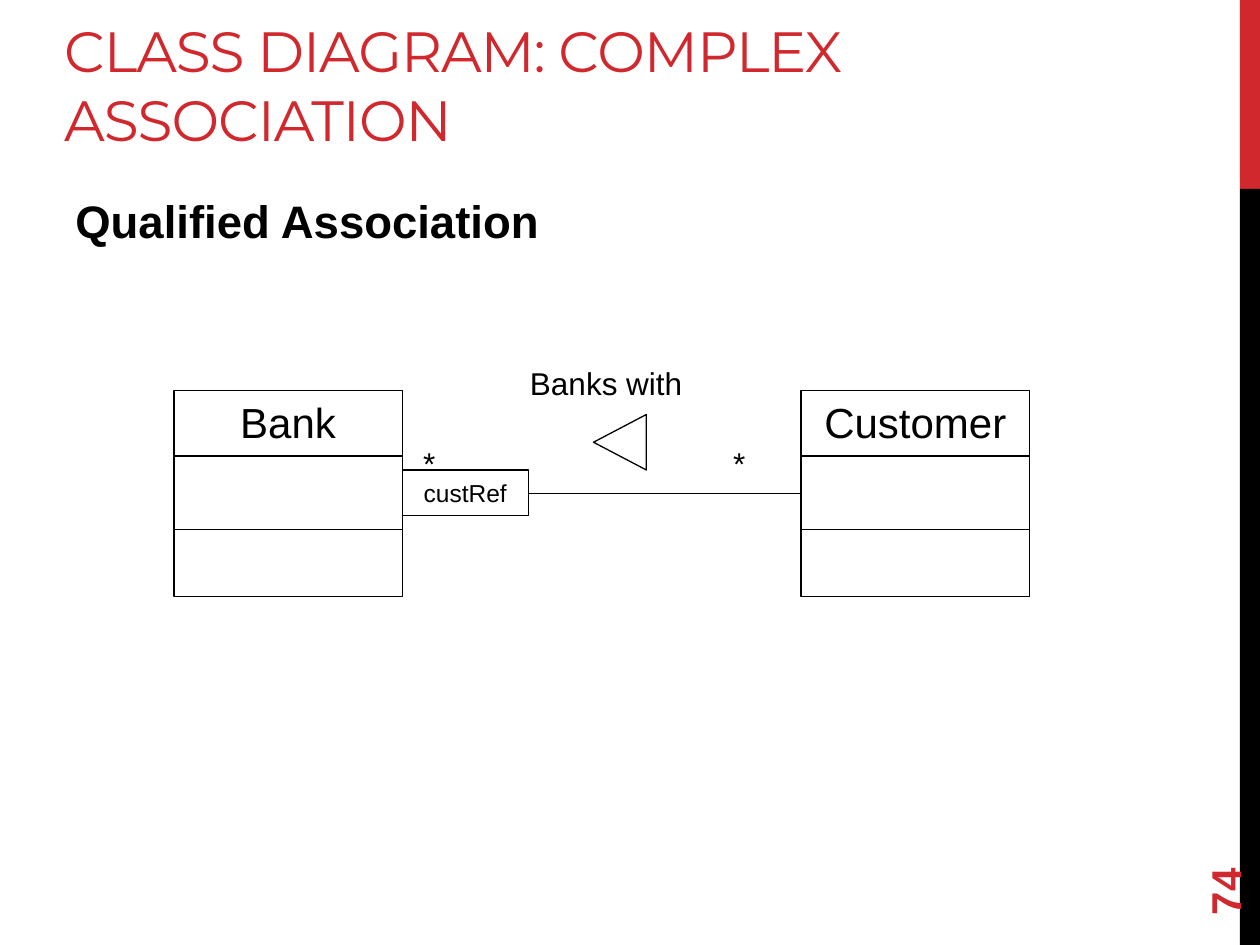
import pptx
import pptx.dml.color
import pptx.enum.shapes
import pptx.enum.text
import pptx.oxml.ns
import pptx.util
from lxml import etree

Pt = pptx.util.Pt
SHAPES = pptx.enum.shapes.MSO_SHAPE
ANCHOR = pptx.enum.text.MSO_ANCHOR
ALIGN = pptx.enum.text.PP_ALIGN
COLOURS = {"red": "D1282E", "black": "000000", "white": "FFFFFF"}

CLASS_TOP, CLASS_WIDTH, CLASS_HEIGHT = 223, 130.5, 118
ATTRIBUTES_TOP, ATTRIBUTES_HEIGHT = 260.6, 42
BANK_LEFT, CUSTOMER_LEFT = 99.4, 457.8


def colour(name):
    return pptx.dml.color.RGBColor.from_string(COLOURS[name])


def write(box, text, size, ink="black", bold=False, font="Arial",
          anchor=ANCHOR.TOP, align=ALIGN.LEFT):
    frame = box.text_frame
    frame.word_wrap = True
    frame.auto_size = pptx.enum.text.MSO_AUTO_SIZE.NONE
    frame.vertical_anchor = anchor
    para = frame.paragraphs[0]
    para.alignment = align
    span = para.add_run()
    span.text = text
    span.font.name = font
    span.font.size = Pt(size)
    span.font.bold = bold
    span.font.color.rgb = colour(ink)
    return para


def add_title(page, text):
    title = page.shapes.title
    title.left, title.top, title.width, title.height = Pt(29.5), Pt(0.7), Pt(648), Pt(90)
    para = write(title, text, 32.4, "red", font="Montserrat", anchor=ANCHOR.BOTTOM)
    para.line_spacing = 1.0
    para.runs[0].font._element.set("spc", "-60")


def add_label(page, text, left, top, width, height, size, **style):
    box = page.shapes.add_textbox(Pt(left), Pt(top), Pt(width), Pt(height))
    return box, write(box, text, size, **style)


def add_figure(parent, kind, left, top, width, height, fill="white", line="black"):
    figure = parent.shapes.add_shape(kind, Pt(left), Pt(top), Pt(width), Pt(height))
    figure.shadow.inherit = False
    figure.fill.solid()
    figure.fill.fore_color.rgb = colour(fill)
    if line:
        figure.line.color.rgb = colour(line)
        figure.line.width = Pt(0.75)
    else:
        figure.line.fill.background()
    return figure


def add_class(page, name, left):
    """Draw a class box with three compartments; return the middle one."""
    group = page.shapes.add_group_shape()
    outline = add_figure(group, SHAPES.RECTANGLE, left, CLASS_TOP, CLASS_WIDTH, CLASS_HEIGHT)
    write(outline, name, 24, align=ALIGN.CENTER)
    return add_figure(group, SHAPES.RECTANGLE, left, ATTRIBUTES_TOP,
                      CLASS_WIDTH, ATTRIBUTES_HEIGHT)


def add_association(page, source, target):
    line = page.shapes.add_connector(
        pptx.enum.shapes.MSO_CONNECTOR.STRAIGHT, Pt(0), Pt(0), Pt(0), Pt(0))
    line.begin_connect(source, 3)
    line.end_connect(target, 1)
    line.line.color.rgb = colour("black")
    line.line.width = Pt(0.25)
    etree.SubElement(line._element.spPr, pptx.oxml.ns.qn("a:effectLst"))


def main():
    deck = pptx.Presentation()
    deck.slide_width, deck.slide_height = Pt(720), Pt(540)
    page = deck.slides.add_slide(deck.slide_layouts[5])

    add_figure(page, SHAPES.RECTANGLE, 708.5, 0, 11.5, 108, "red", None)
    add_figure(page, SHAPES.RECTANGLE, 708.5, 108, 11.5, 432, "black", None)
    add_title(page, "CLASS DIAGRAM: COMPLEX ASSOCIATION")
    heading = add_label(page, "Qualified Association", 36, 106.5, 648, 57.6, 26, bold=True)[1]
    heading.space_before = Pt(5)
    heading.space_after = Pt(6)
    number = add_label(page, "74", 648, 463.7, 103.7, 28.8, 24,
                       ink="red", bold=True, anchor=ANCHOR.MIDDLE)[0]
    number.rotation = 270

    bank = add_class(page, "Bank", BANK_LEFT)
    customer = add_class(page, "Customer", CUSTOMER_LEFT)
    add_association(page, bank, customer)

    direction = add_figure(page, SHAPES.ISOSCELES_TRIANGLE, 338.4, 237.6, 31.7, 30.2)
    direction.rotation = 270
    add_label(page, "Banks with", 295.8, 204.7, 116, 29, 18)
    for left in (234.7, 411.8):
        add_label(page, "*", left, 250, 51, 29, 18)

    qualifier = add_figure(page, SHAPES.RECTANGLE, BANK_LEFT + CLASS_WIDTH, 268.5, 72, 26)
    write(qualifier, "custRef", 14, anchor=ANCHOR.MIDDLE, align=ALIGN.CENTER)

    deck.save("out.pptx")


if __name__ == "__main__":
    main()
